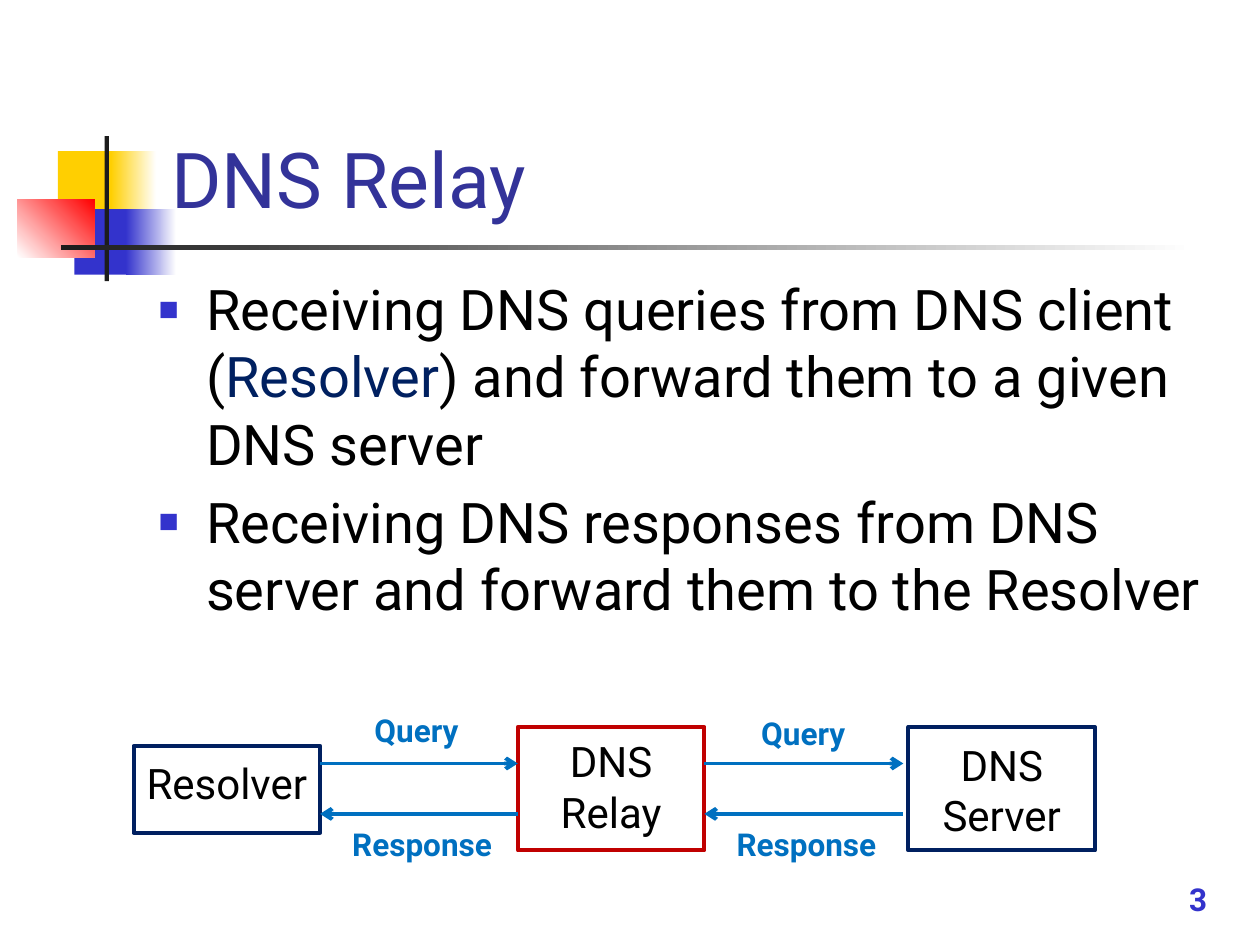
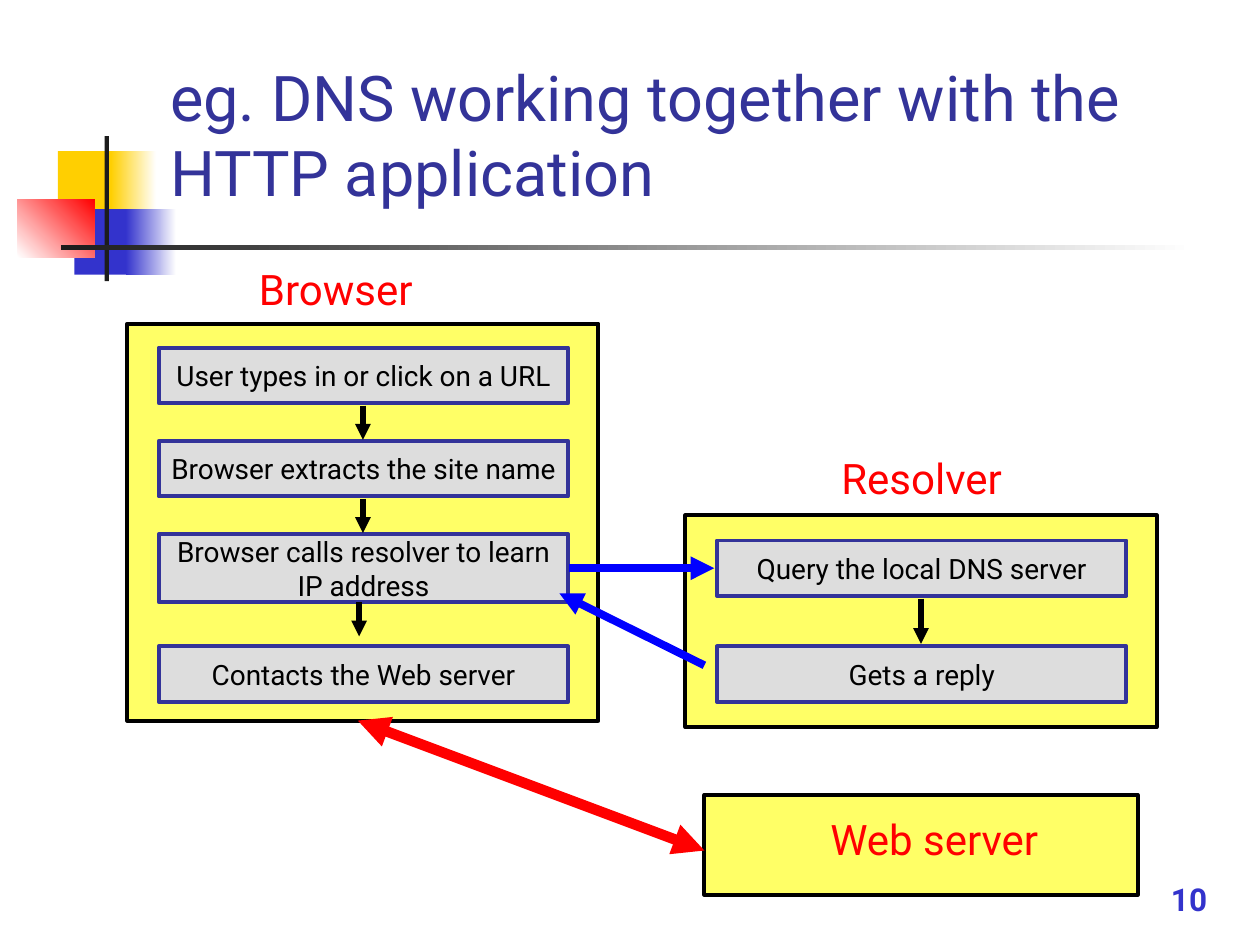
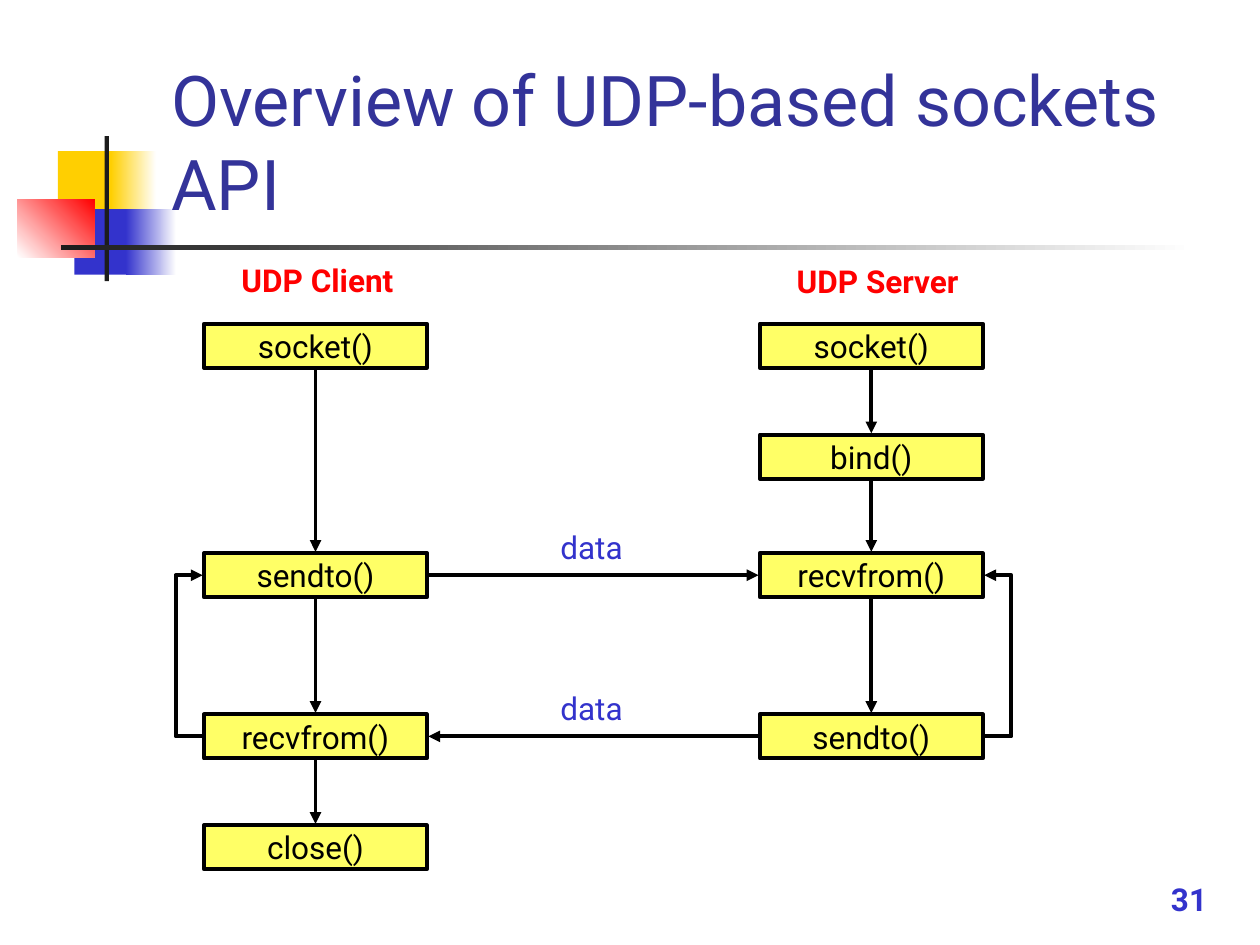
from dataclasses import dataclass

from lxml.etree import SubElement
from pptx import Presentation
from pptx.dml.color import RGBColor
from pptx.enum.shapes import MSO_CONNECTOR as LINE, MSO_SHAPE as SHAPE
from pptx.enum.text import MSO_ANCHOR as ANCHOR, MSO_AUTO_SIZE as FIT, PP_ALIGN as ALIGN
from pptx.oxml.ns import qn
from pptx.util import Pt


@dataclass(frozen=True)
class Theme:
    font: str = "Roboto"
    black: str = "000000"
    white: str = "FFFFFF"
    ink: str = "1C1C1C"
    title: str = "333399"
    accent: str = "3333CC"
    gold: str = "FFCF01"
    red: str = "FF0000"
    dark_red: str = "C00000"
    navy: str = "002060"
    sky: str = "0070C0"
    blue: str = "0000FF"
    yellow: str = "FFFF66"
    gray: str = "DDDDDD"
    body_size: float = 32
    label_size: float = 24
    small_size: float = 18
    step_size: float = 16
    outline: float = 2.25


T = Theme()

# ---- Content: shared ----
TITLE_BOX = (90.7, 16.6, 613.4, 115.2)
NUMBER_BOX = (468.7, 491.8, 228.2, 36)
# box, start colour, end colour (None for solid), gradient angle
DECORATION = [
    ((33.1, 86.4, 34.6, 37.4), T.gold, None, 0),
    ((63.4, 86.4, 25.9, 37.4), T.gold, T.white, 0),
    ((42.5, 119.5, 33.1, 37.4), T.accent, None, 0),
    ((72, 119.5, 28.8, 37.4), T.accent, T.white, 0),
    ((10.1, 113.8, 43.9, 33.1), T.white, T.red, 45),
    ((59.8, 77.8, 2.4, 82.8), T.ink, None, 0),
    ((34.6, 140.2, 648, 2.4), T.ink, T.white, 0),
]

# ---- Content: relay slide ----
RELAY_BODY_BOX = (83.5, 153.4, 612, 324)
RELAY_POINTS = [
    [("Receiving DNS queries from DNS client (", T.black), ("Resolver", T.navy),
     (") and forward them to a given DNS server", T.black)],
    "Receiving DNS responses from DNS server and forward them to the Resolver",
]
# name, left, box top, box height, text top, outline
RELAY_NODES = [
    ("Resolver", 76.3, 426.2, 49.7, 429.1, T.navy),
    ("DNS Relay", 295.9, 415.4, 70.6, 416.9, T.dark_red),
    ("DNS Server", 519.1, 415.4, 70.6, 419, T.navy),
]
NODE_W = 106.6
QUERY_Y, RESPONSE_Y = 436.3, 465.1
# arrow start, arrow end, query label box, response label box
RELAY_LINKS = [
    (182.9, 295.9, (193.7, 402.5, 88.6, 28.8), (175.7, 468, 131, 28.8)),
    (402.5, 516.2, (414.7, 404.6, 88.6, 28.8), (395.3, 468, 131, 28.8)),
]

# ---- Content: HTTP slide ----
HTTP_TITLE_BOX = (90, 20.2, 613.4, 103)
PANELS = [(72.7, 185, 269.3, 226.8), (391.7, 294.5, 269.3, 121),
          (402.5, 454.3, 247.7, 56.9)]
PANEL_LABELS = [("Browser", 101.5, 146.9), ("Resolver", 436.3, 254.9),
                ("Web server", 443.5, 461.5)]
STEP_W, STEP_H = 234, 31.7
# text, left, top, height
STEPS = [
    ("User types in or click on a URL", 90.7, 198.7, STEP_H),
    ("Browser extracts the site name", 90.7, 252, STEP_H),
    ("Browser calls resolver to learn IP address", 90.7, 305.3, 38.9),
    ("Contacts the Web server", 90.7, 369.4, STEP_H),
    ("Query the local DNS server", 409.7, 308.9, STEP_H),
    ("Gets a reply", 409.7, 369.4, STEP_H),
]
# start, end, colour, width, arrowhead at start
HTTP_ARROWS = [
    ((207.4, 231.8), (207.4, 251.3), T.black, 3, None),
    ((207.4, 285.1), (207.4, 304.6), T.black, 3, None),
    ((205.2, 344.2), (205.2, 363.6), T.black, 3, None),
    ((526.3, 342), (526.3, 367.9), T.black, 3, None),
    ((325.4, 324.7), (408.2, 324.7), T.blue, 4.5, None),
    ((402.5, 380.2), (319.7, 339.1), T.blue, 4.5, None),
    ((204.5, 411.8), (402.5, 486), T.red, 6, "triangle"),
]

# ---- Content: sockets slide ----
ROWS = [185, 248.4, 316.1, 408.2, 471.6]
CALL_W, CALL_H, GAP = 127.4, 25.2, 0.8
CLIENT_X, SERVER_X = 116.6, 434.2
# left, calls with their row
COLUMNS = [
    (CLIENT_X, [("socket()", 0), ("sendto()", 2), ("recvfrom()", 3), ("close()", 4)]),
    (SERVER_X, [("socket()", 0), ("bind()", 1), ("recvfrom()", 2), ("sendto()", 3)]),
]
SOCKET_LABELS = [
    ("UDP Client", (123.1, 145.4, 116.6, 28.8), T.red, True),
    ("UDP Server", (437.8, 146.2, 127.4, 28.8), T.red, True),
    ("data", (244.1, 298.1, 187.9, 28.8), T.accent, False),
    ("data", (244.1, 390.2, 187.9, 28.8), T.accent, False),
]


# ---- Helpers ----
def rgb(color):
    return RGBColor.from_string(color)


def pts(values):
    return [Pt(v) for v in values]


def write(sp, text, size=T.small_size, color=T.black, bold=False,
          align=ALIGN.CENTER, anchor=ANCHOR.TOP, wrap=True):
    """Text is a string or a list of paragraphs; a paragraph may be (text, colour) runs."""
    tf = sp.text_frame
    tf.auto_size, tf.word_wrap, tf.vertical_anchor = FIT.NONE, wrap, anchor
    for i, runs in enumerate([text] if isinstance(text, str) else text):
        p = tf.add_paragraph() if i else tf.paragraphs[0]
        p.alignment = align
        for words, run_color in [(runs, color)] if isinstance(runs, str) else runs:
            r = p.add_run()
            r.text = words
            r.font.name, r.font.size, r.font.bold = T.font, Pt(size), bold
            r.font.color.rgb = rgb(run_color)
    return tf


def label(s, text, box, **fmt):
    return write(s.shapes.add_textbox(*pts(box)), text, **fmt)


def rect(s, box, fill=None, line=None):
    sp = s.shapes.add_shape(SHAPE.RECTANGLE, *pts(box))
    sp.shadow.inherit = False
    if fill:
        sp.fill.solid()
        sp.fill.fore_color.rgb = rgb(fill)
    else:
        sp.fill.background()
    if line:
        sp.line.color.rgb, sp.line.width = rgb(line), Pt(T.outline)
    else:
        sp.line.fill.background()
    return sp


def arrow(s, start, end, color=T.black, width=T.outline, head=None,
          tail="triangle", kind=LINE.STRAIGHT):
    c = s.shapes.add_connector(kind, *pts(start + end))
    c.line.color.rgb, c.line.width = rgb(color), Pt(width)
    spPr = c.element.spPr
    for tag, style in (("a:headEnd", head), ("a:tailEnd", tail)):
        if style:
            SubElement(spPr.find(qn("a:ln")), qn(tag), type=style)
    SubElement(spPr, qn("a:effectLst"))
    return c


def loop(s, x, top, bottom, reach, left):
    """Elbow line from bottom back up to top, bulging sideways by reach."""
    w = 0.12
    y1, y2 = (top, bottom) if left else (bottom, top)
    c = arrow(s, (x, y1), (x + w, y2), kind=LINE.ELBOW)
    spPr = c.element.spPr
    if left:
        spPr.find(qn("a:xfrm")).set("rot", "10800000")
    geom = spPr.find(qn("a:prstGeom"))
    av = geom.find(qn("a:avLst"))
    if av is None:
        av = SubElement(geom, qn("a:avLst"))
    SubElement(av, qn("a:gd"), name="adj1", fmla=f"val {round(reach / w * 100000)}")


def square_bullets(tf):
    for p in tf.paragraphs:
        pPr = p._p.get_or_add_pPr()
        SubElement(SubElement(pPr, qn("a:buClr")), qn("a:srgbClr"), val=T.accent)
        SubElement(pPr, qn("a:buSzPct"), val="60000")
        SubElement(pPr, qn("a:buChar"), char="■")


def place(sp, box):
    sp.left, sp.top, sp.width, sp.height = pts(box)
    return sp


def new_slide(layout, title, number, size, box=TITLE_BOX):
    s = prs.slides.add_slide(prs.slide_layouts[layout])
    write(place(s.shapes.title, box), title, size=size, color=T.title,
          align=ALIGN.LEFT, anchor=ANCHOR.BOTTOM)
    label(s, number, NUMBER_BOX, color=T.accent, bold=True,
          align=ALIGN.RIGHT, anchor=ANCHOR.BOTTOM)
    return s


def decorate_master(s):
    """Draw the motif with the slide's tools, then move it to the master."""
    for i, (box, color, end, angle) in enumerate(DECORATION):
        sp = rect(s, box, color)
        if end:
            sp.fill.gradient()
            sp.fill.gradient_angle = angle
            for stop, c in zip(sp.fill.gradient_stops, (color, end)):
                stop.color.rgb = rgb(c)
        sp.element.nvSpPr.cNvPr.set("id", str(101 + i))
        prs.slide_master.shapes.element.append(sp.element)


prs = Presentation()
prs.slide_width, prs.slide_height = Pt(720), Pt(540)

# ---- Relay slide ----
s = new_slide(1, "DNS Relay", "3", 44)
decorate_master(s)
body = place(s.placeholders[1], RELAY_BODY_BOX)
square_bullets(write(body, RELAY_POINTS, size=T.body_size, align=ALIGN.LEFT))
for name, x, top, h, text_top, color in RELAY_NODES:
    label(s, name, (x, text_top, NODE_W, h), size=T.label_size)
    rect(s, (x, top, NODE_W, h), line=color)
for x1, x2, query_box, response_box in RELAY_LINKS:
    arrow(s, (x1, QUERY_Y), (x2, QUERY_Y), T.sky, tail="arrow")
    arrow(s, (x1, RESPONSE_Y), (x2, RESPONSE_Y), T.sky, head="arrow", tail=None)
    for text, box in (("Query", query_box), ("Response", response_box)):
        label(s, text, box, color=T.sky, bold=True)

# ---- HTTP slide ----
s = new_slide(5, "eg. DNS working together with the HTTP application", "10", 36,
              HTTP_TITLE_BOX)
for box in PANELS:
    rect(s, box, T.yellow, T.black)
for text, x, y, h in STEPS:
    write(rect(s, (x, y, STEP_W, h), T.gray, T.title), text, size=T.step_size,
          anchor=ANCHOR.MIDDLE, wrap=h > STEP_H)
for text, x, y in PANEL_LABELS:
    label(s, text, (x, y, 180.7, 36), size=T.label_size, color=T.red)
for start, end, color, width, head in HTTP_ARROWS:
    arrow(s, start, end, color, width, head)

# ---- Sockets slide ----
s = new_slide(5, "Overview of UDP-based sockets API", "31", 40)
for x, calls in COLUMNS:
    for text, row in calls:
        write(rect(s, (x, ROWS[row], CALL_W, CALL_H), T.yellow, T.black), text,
              anchor=ANCHOR.MIDDLE, wrap=False)
    mid = x + CALL_W / 2
    for (_, a), (_, b) in zip(calls, calls[1:]):
        arrow(s, (mid, ROWS[a] + CALL_H + GAP), (mid, ROWS[b] - GAP))
send_y, reply_y = (ROWS[i] + CALL_H / 2 for i in (2, 3))
client_edge, server_edge = CLIENT_X + CALL_W + GAP, SERVER_X - GAP
arrow(s, (client_edge, send_y), (server_edge, send_y))
arrow(s, (server_edge, reply_y), (client_edge, reply_y))
loop(s, CLIENT_X - GAP, send_y, reply_y, 16.5, left=True)
loop(s, SERVER_X + CALL_W + GAP, send_y, reply_y, 16.5, left=False)
for text, box, color, bold in SOCKET_LABELS:
    label(s, text, box, color=color, bold=bold)

prs.save("out.pptx")
